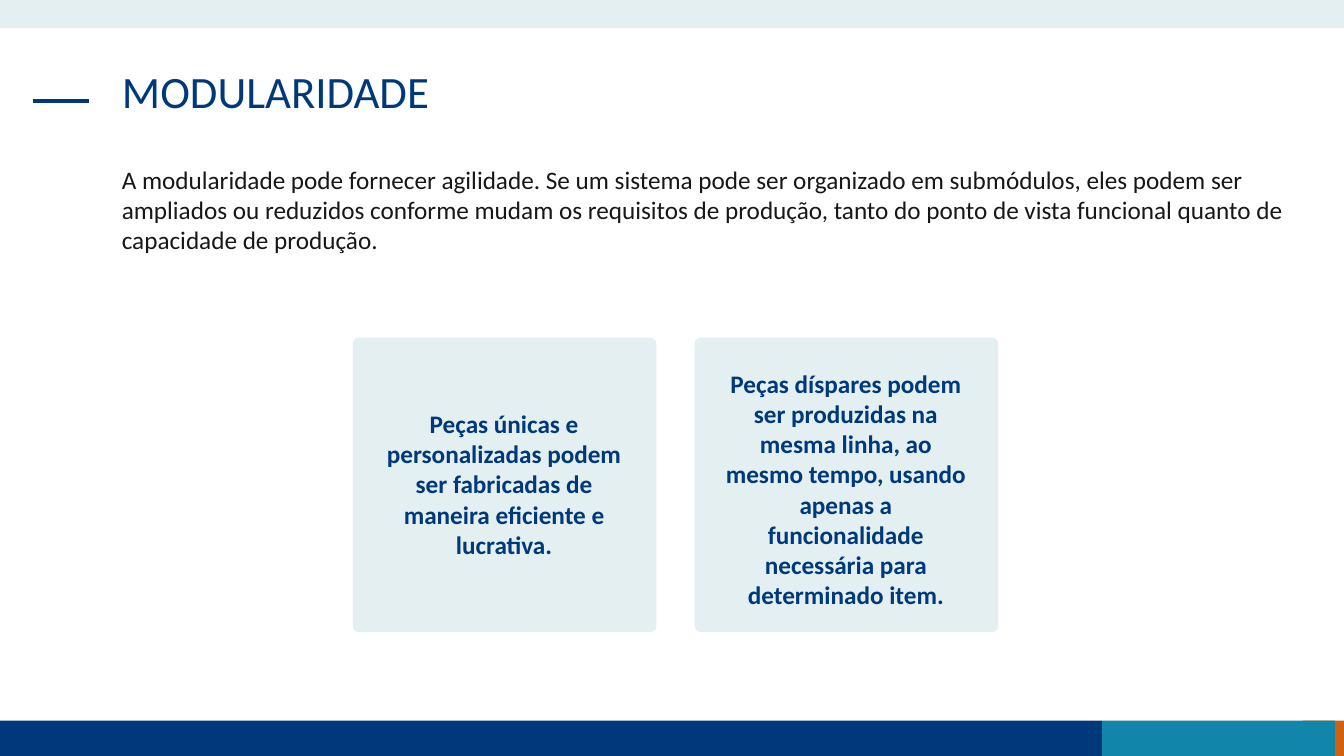
from pptx import Presentation
from pptx.dml.color import RGBColor
from pptx.enum import shapes, text
from pptx.oxml import parse_xml
from pptx.oxml.ns import nsdecls
from pptx.util import Inches, Pt

NAVY = RGBColor(0x00, 0x39, 0x7B)
TEAL = RGBColor(0x11, 0x85, 0xAA)
ORANGE = RGBColor(0xD0, 0x61, 0x10)
PALE = RGBColor(0xE3, 0xEF, 0xF1)
INK = RGBColor(0x18, 0x17, 0x17)

HEADING = "MODULARIDADE"
INTRO = (
    "A modularidade pode fornecer agilidade. Se um sistema pode ser organizado "
    "em submódulos, eles podem ser ampliados ou reduzidos conforme mudam os "
    "requisitos de produção, tanto do ponto de vista funcional quanto de "
    "capacidade de produção."
)
# Wording, top and height of the text on each card
CARDS = [
    ("Peças únicas e personalizadas podem ser fabricadas de maneira eficiente "
     "e lucrativa.", 4.0, 1.62),
    ("Peças díspares podem ser produzidas na mesma linha, ao mesmo tempo, "
     "usando apenas a funcionalidade necessária para determinado item.", 3.6, 2.52),
]
# Left, top, width, height, colour
BANDS = [
    (12.92, 7.15, 0.41, 0.35, ORANGE),
    (0, 7.15, 10.93, 0.35, NAVY),
    (10.93, 7.15, 2.31, 0.35, TEAL),
    (0, 0, 13.33, 0.28, PALE),
]
CARD_LEFT, CARD_TOP, CARD_WIDTH, CARD_HEIGHT = 3.5, 3.35, 3.01, 2.92
CARD_PITCH, CARD_INSET, CARD_TEXT_WIDTH = 3.39, 0.2, 2.6


def add_block(parent, kind, box, colour):
    block = parent.add_shape(kind, *map(Inches, box))
    block.shadow.inherit = False
    block.fill.solid()
    block.fill.fore_color.rgb = colour
    block.line.fill.background()
    return block


def write(frame, wording, size, colour, align=text.PP_ALIGN.LEFT, bold=False):
    frame.text = wording
    frame.word_wrap = True
    frame.vertical_anchor = text.MSO_ANCHOR.TOP
    paragraph = frame.paragraphs[0]
    paragraph.alignment = align
    font = paragraph.runs[0].font
    font.name, font.size, font.bold = "Calibri", Pt(size), bold
    font.color.rgb = colour
    return paragraph


def main():
    deck = Presentation()
    deck.slide_width, deck.slide_height = Inches(13.33), Inches(7.5)
    slide = deck.slides.add_slide(deck.slide_layouts[5])

    for *box, colour in BANDS:
        add_block(slide.shapes, shapes.MSO_SHAPE.RECTANGLE, box, colour)

    dash = slide.shapes.add_connector(
        shapes.MSO_CONNECTOR.STRAIGHT, Inches(0.33), Inches(1), Inches(0.88), Inches(1))
    dash.line.color.rgb = NAVY
    dash.line.width = Pt(3)
    dash._element.spPr.append(parse_xml(f"<a:effectLst {nsdecls('a')}/>"))

    title = slide.shapes.title
    title.left, title.top = Inches(1.11), Inches(0.64)
    title.width, title.height = Inches(11.1), Inches(0.94)
    write(title.text_frame, HEADING, 32, NAVY).line_spacing = 0.9
    title.text_frame.auto_size = text.MSO_AUTO_SIZE.NONE

    intro = slide.shapes.add_textbox(*map(Inches, (1.11, 1.58, 11.8, 1.01)))
    write(intro.text_frame, INTRO, 18, INK)

    for index, (wording, text_top, text_height) in enumerate(CARDS):
        left = CARD_LEFT + index * CARD_PITCH
        card = slide.shapes.add_group_shape()
        panel = add_block(card.shapes, shapes.MSO_SHAPE.ROUNDED_RECTANGLE,
                          (left, CARD_TOP, CARD_WIDTH, CARD_HEIGHT), PALE)
        panel.adjustments[0] = 0.02
        label = card.shapes.add_textbox(*map(
            Inches, (left + CARD_INSET, text_top, CARD_TEXT_WIDTH, text_height)))
        write(label.text_frame, wording, 18, NAVY, text.PP_ALIGN.CENTER, bold=True)

    deck.save("out.pptx")


if __name__ == "__main__":
    main()
